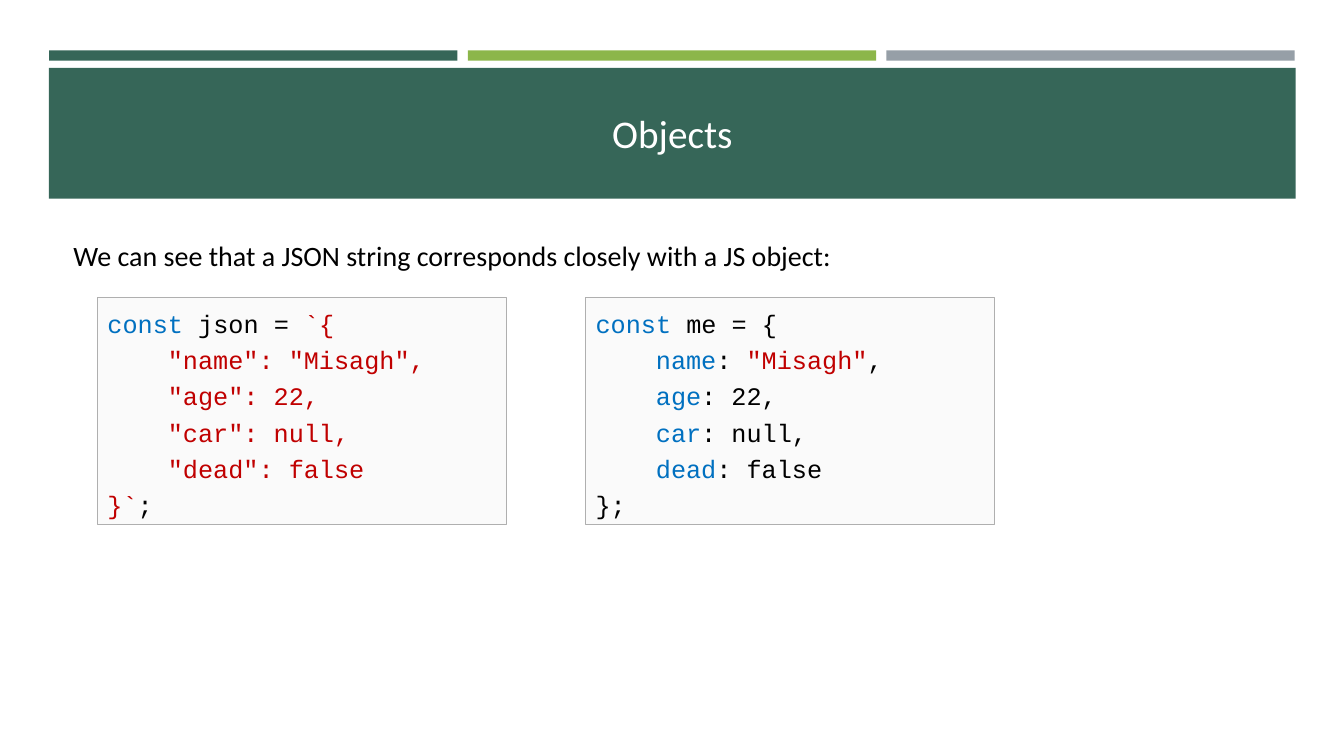
from pptx import Presentation
from pptx.dml.color import RGBColor
from pptx.enum.shapes import MSO_SHAPE
from pptx.enum.text import MSO_ANCHOR, PP_ALIGN
from pptx.util import Cm, Pt

GREEN, LIME, GREY = "366658", "8CB64A", "969FA7"
BLACK, WHITE, BLUE, RED = "000000", "FFFFFF", "0070C0", "C00000"
CODE_INDENT = Cm(1.52)

JSON_CODE = [
    (0, [("const ", BLUE), ("json = ", BLACK), ("`{", RED)]),
    (1, [('"name": "Misagh",', RED)]),
    (1, [('"age": 22,', RED)]),
    (1, [('"car": null,', RED)]),
    (1, [('"dead": false', RED)]),
    (0, [("}`", RED), (";", BLACK)]),
]
OBJECT_CODE = [
    (0, [("const", BLUE), (" me = {", BLACK)]),
    (1, [("name", BLUE), (": ", BLACK), ('"Misagh"', RED), (",", BLACK)]),
    (1, [("age", BLUE), (": 22,", BLACK)]),
    (1, [("car", BLUE), (": null,", BLACK)]),
    (1, [("dead", BLUE), (": false", BLACK)]),
    (0, [("};", BLACK)]),
]


def rgb(value):
    """Turn a hex string into a colour."""
    return RGBColor.from_string(value)


def set_attrs(obj, formats):
    """Set each attribute named in a dict of format values."""
    for name, value in formats.items():
        setattr(obj, name, value)


def add_run(p, text, color, font):
    """Append a coloured run to a paragraph."""
    r = p.add_run()
    r.text = text
    set_attrs(r.font, font)
    r.font.color.rgb = rgb(color)


def add_rect(s, box, fill, line=None):
    """Add a flat rectangle, outlined if a line colour is given."""
    sp = s.shapes.add_shape(MSO_SHAPE.RECTANGLE, *map(Cm, box))
    sp.shadow.inherit = False
    sp.fill.solid()
    sp.fill.fore_color.rgb = rgb(fill)
    if line:
        sp.line.color.rgb = rgb(line)
        sp.line.width = Pt(0.75)
    else:
        sp.line.fill.background()
    return sp


def add_text(s, box, text, color, size, frame, para):
    """Add a text box that holds one line."""
    tf = s.shapes.add_textbox(*map(Cm, box)).text_frame
    set_attrs(tf, frame)
    p = tf.paragraphs[0]
    set_attrs(p, para)
    add_run(p, text, color, {"name": "Calibri", "size": Pt(size)})


def add_code(s, box, lines):
    """Add a framed listing with indented, coloured lines."""
    tf = add_rect(s, box, "FAFAFA", "AFAFAF").text_frame
    set_attrs(tf, {"word_wrap": True, "vertical_anchor": MSO_ANCHOR.TOP})
    for i, (level, runs) in enumerate(lines):
        p = tf.add_paragraph() if i else tf.paragraphs[0]
        set_attrs(p, {"alignment": PP_ALIGN.LEFT, "line_spacing": 1.2})
        p._p.get_or_add_pPr().set("marL", str(level * CODE_INDENT))
        for text, color in runs:
            add_run(p, text, color, {"name": "Courier New", "size": Pt(18)})


def main():
    """Build and save the slide."""
    prs = Presentation()
    set_attrs(prs, {"slide_width": Cm(33.87), "slide_height": Cm(19.05)})
    s = prs.slides.add_slide(prs.slide_layouts[6])
    for i, color in enumerate((GREEN, LIME, GREY)):
        add_rect(s, (1.24 + i * 10.55, 1.27, 10.29, 0.26), color)
    add_rect(s, (1.23, 1.71, 31.42, 3.3), GREEN)
    add_text(s, (1.63, 2.59, 30.63, 1.47), "Objects", WHITE, 28,
             {"word_wrap": True, "vertical_anchor": MSO_ANCHOR.BOTTOM},
             {"alignment": PP_ALIGN.CENTER})
    add_text(s, (1.6, 5.79, 19.79, 1.14),
             "We can see that a JSON string corresponds closely with a JS object:",
             BLACK, 20, {"word_wrap": False}, {"line_spacing": 1.1})
    for i, lines in enumerate((JSON_CODE, OBJECT_CODE)):
        add_code(s, (2.46 + i * 12.3, 7.49, 10.31, 5.74), lines)
    prs.save("out.pptx")


if __name__ == "__main__":
    main()
